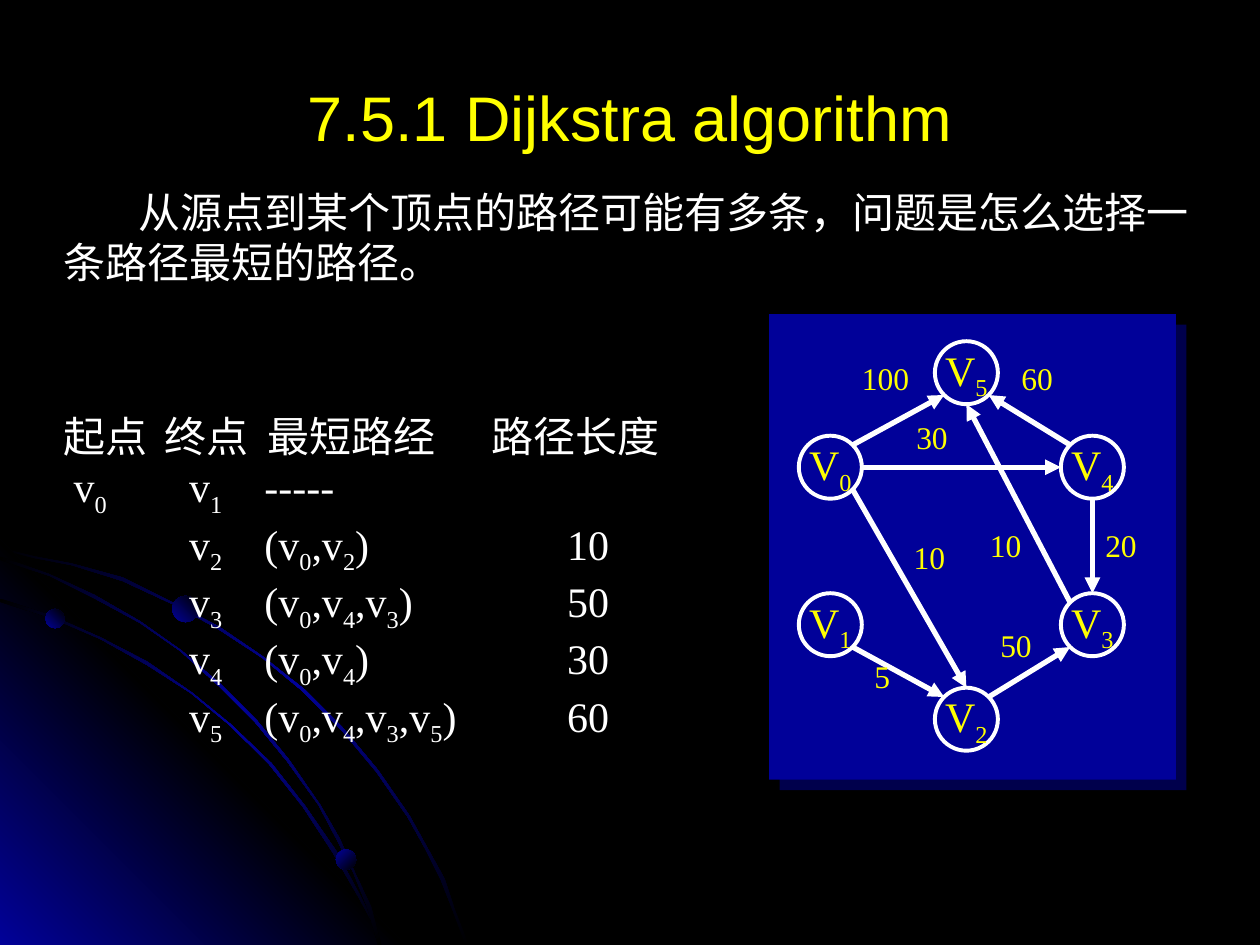
from itertools import groupby
from math import cos, radians, sin

from lxml import etree
from pptx import Presentation
from pptx.dml.color import RGBColor
from pptx.enum import shapes as sh, text as tx
from pptx.oxml import ns
from pptx.util import Pt

HEX = {"black": "000000", "blue": "010199", "white": "FFFFFF", "yellow": "FFFF00"}
GLOW = [("black", 0), ("blue", 50), ("black", 100)]
FLARE = [("blue", 0), ("black", 50), ("blue", 100)]
BALL = [("blue", 0), ("black", 100)]

# Outer edges of the arcs, left to right
ARCS = [
    [(0, 313), (20, 317.5), (41, 322), (70.5, 330.5), (98, 343.5), (125, 358),
     (150.5, 375), (174, 394.5), (196, 416), (216, 440), (234, 466.5),
     (244, 484.5), (253.5, 502.5), (260.5, 520.5), (268, 539.5)],
    [(0, 342), (29.5, 351.5), (57, 363.5), (84, 378.5), (109.5, 395.5),
     (132.5, 414.5), (155, 436.5), (174, 460.5), (191.5, 486.5), (206, 512.5),
     (213, 525.5), (218, 539.5)],
    [(0, 318), (28, 327.5), (54.5, 340.5), (80, 355), (103.5, 371.5), (126, 391),
     (147, 412.5), (165, 434), (183, 460), (193.5, 479), (203, 499),
     (211.5, 518.5), (218, 539.5)],
]
BALLS = [(26, 348, 11, 315), (192, 485.5, 11.5, 45), (98.5, 340.5, 15, 315)]

HEAD = ["起点", "终点", "最短路经", "路径长度"]
ROWS = [
    ["", "v0", "v1", "-----"],
    ["", "", "v2", "(v0,v2)", "10"],
    ["", "", "v3", "(v0,v4,v3)", "50"],
    ["", "", "v4", "(v0,v4)", "30"],
    ["", "", "v5", "(v0,v4,v3,v5)", "60"],
]

RAD = 18
NODES = {  # centres
    "V5": (552.25, 213), "V0": (474.5, 267), "V4": (624.25, 267),
    "V1": (474.5, 357), "V3": (624.25, 357), "V2": (552.25, 411),
}
EDGES = [  # from, angle, to, angle; clockwise from the right
    ("V0", -45, "V5", 135), ("V0", 0, "V4", 180), ("V4", -135, "V5", 45),
    ("V4", 90, "V3", -90), ("V1", 45, "V2", -135), ("V0", 45, "V2", -90),
    ("V2", -45, "V3", 135), ("V3", -135, "V5", 90),
]
COSTS = [
    ("100", 485.5, 201.5, 41.5), ("60", 576.5, 201.5, 32.5), ("20", 624.5, 297, 32.5),
    ("10", 558.5, 297, 32.5), ("30", 516.5, 235.5, 32.5), ("10", 515, 304, 32.5),
    ("5", 492.5, 372, 23.5), ("50", 564.5, 354, 32.5),
]


def rgb(name):
    return RGBColor.from_string(HEX[name])


def add(up, tag, **attrs):
    node = etree.SubElement(up, ns.qn(tag))
    for key, val in attrs.items():
        node.set(key, str(val))
    return node


def grade(shape, stops, angle):
    """Fill a shape with a linear blend and take away its line."""
    shape.shadow.inherit = False
    shape.line.fill.background()
    shape.fill.gradient()
    grad = shape.fill._xPr.find(ns.qn("a:gradFill"))
    for kid in list(grad):
        grad.remove(kid)
    row = add(grad, "a:gsLst")
    for name, place in stops:
        add(add(row, "a:gs", pos=place * 1000), "a:srgbClr", val=HEX[name])
    add(grad, "a:lin", ang=angle * 60000, scaled=0)


def outline(slide, points, stops, angle):
    form = slide.shapes.build_freeform(*points[0], scale=Pt(1))
    form.add_line_segments(points[1:], close=True)
    grade(form.convert_to_shape(), stops, angle)


def band(slide, edge):
    """Draw a thin band whose inner edge turns from below to the left."""
    last = len(edge) - 1
    inner = [(x - 1.5 * i / last, y + 1.5 * (1 - i / last))
             for i, (x, y) in enumerate(edge)]
    outline(slide, edge + inner[::-1], GLOW, 45)


def oval(slide, x, y, size):
    return slide.shapes.add_shape(
        sh.MSO_SHAPE.OVAL, Pt(x), Pt(y), Pt(size), Pt(size))


def write(par, words, color="white", size=24, font="Times New Roman"):
    """Add runs; a digit right after a v is set as a subscript."""
    marks = [(c, c.isdigit() and b in "vV") for b, c in zip(" " + words, words)]
    for low, group in groupby(marks, key=lambda m: m[1]):
        run = par.add_run()
        run.text = "".join(c for c, _ in group)
        form = {"size": Pt(size), "name": font}
        for key, val in form.items():
            setattr(run.font, key, val)
        run.font.color.rgb = rgb(color)
        if low:
            run.font._element.set("baseline", "-25000")


def box(slide, x, y, wide, high, wrap=True):
    frame = slide.shapes.add_textbox(Pt(x), Pt(y), Pt(wide), Pt(high)).text_frame
    frame.word_wrap = wrap
    return frame


def tabs(par, stops):
    row = add(par._p.get_or_add_pPr(), "a:tabLst")
    for stop in stops:
        add(row, "a:tab", pos=int(Pt(stop)), algn="l")


def paths(slide):
    frame = box(slide, 29, 231, 654, 181.5)
    par = frame.paragraphs[0]
    tabs(par, [58, 117, 245])
    write(par, "\t".join(HEAD))
    for row in ROWS:
        par = frame.add_paragraph()
        tabs(par, [6, 72, 115, 288])
        write(par, "\t".join(row))


def panel(slide):
    rect = slide.shapes.add_shape(
        sh.MSO_SHAPE.RECTANGLE, Pt(439.5), Pt(179.5), Pt(232.5), Pt(266))
    rect.shadow.inherit = False
    rect.fill.solid()
    rect.fill.fore_color.rgb = rgb("blue")
    rect.line.fill.background()
    glow = rect._element.spPr.find(ns.qn("a:effectLst"))
    shade = add(glow, "a:outerShdw", blurRad=0, dist=int(Pt(8.5)),
                dir=45 * 60000, algn="ctr", rotWithShape=0)
    add(add(shade, "a:srgbClr", val=HEX["blue"]), "a:alpha", val=50000)


def node(slide, name, x, y):
    ring = oval(slide, x - RAD, y - RAD, 2 * RAD)
    ring.shadow.inherit = False
    ring.fill.background()
    ring.line.color.rgb = rgb("white")
    ring.line.width = Pt(2.25)
    frame = ring.text_frame
    form = {"word_wrap": False, "vertical_anchor": tx.MSO_ANCHOR.MIDDLE}
    for key, val in form.items():
        setattr(frame, key, val)
    frame.paragraphs[0].alignment = tx.PP_ALIGN.CENTER
    write(frame.paragraphs[0], name, "yellow")


def rim(name, angle):
    x, y = NODES[name]
    turn = radians(angle)
    return Pt(x + RAD * cos(turn)), Pt(y + RAD * sin(turn))


def edge(slide, start, out, end, into):
    line = slide.shapes.add_connector(
        sh.MSO_CONNECTOR.STRAIGHT, *rim(start, out), *rim(end, into))
    line.line.color.rgb = rgb("white")
    line.line.width = Pt(3)
    add(line.line._get_or_add_ln(), "a:tailEnd", type="triangle")
    add(line._element.spPr, "a:effectLst")


def main():
    deck = Presentation()
    deck.slide_width, deck.slide_height = Pt(720), Pt(540)
    slide = deck.slides.add_slide(deck.slide_layouts[6])
    back = slide.background.fill
    back.solid()
    back.fore_color.rgb = rgb("black")

    band(slide, ARCS[0])
    outline(slide, [(232, 539.5), (0, 539.5), (0, 307.5)], FLARE, 315)
    for arc in ARCS[1:]:
        band(slide, arc)
    for x, y, size, angle in BALLS:
        grade(oval(slide, x, y, size), BALL, angle)

    title = box(slide, 36, 21.5, 648, 90)
    title.vertical_anchor = tx.MSO_ANCHOR.MIDDLE
    title.paragraphs[0].alignment = tx.PP_ALIGN.CENTER
    write(title.paragraphs[0], "7.5.1 Dijkstra algorithm", "yellow", 36, "Arial")

    intro = box(slide, 29, 103, 680.5, 65.5).paragraphs[0]
    intro._p.get_or_add_pPr().set("indent", str(int(Pt(43))))
    write(intro, "从源点到某个顶点的路径可能有多条，问题是怎么选择一条路径最短的路径。")

    panel(slide)
    paths(slide)
    for name, spot in NODES.items():
        node(slide, name, *spot)
    for link in EDGES:
        edge(slide, *link)
    for cost, x, y, wide in COSTS:
        write(box(slide, x, y, wide, 29, False).paragraphs[0], cost, "yellow", 18)
    deck.save("out.pptx")


if __name__ == "__main__":
    main()
